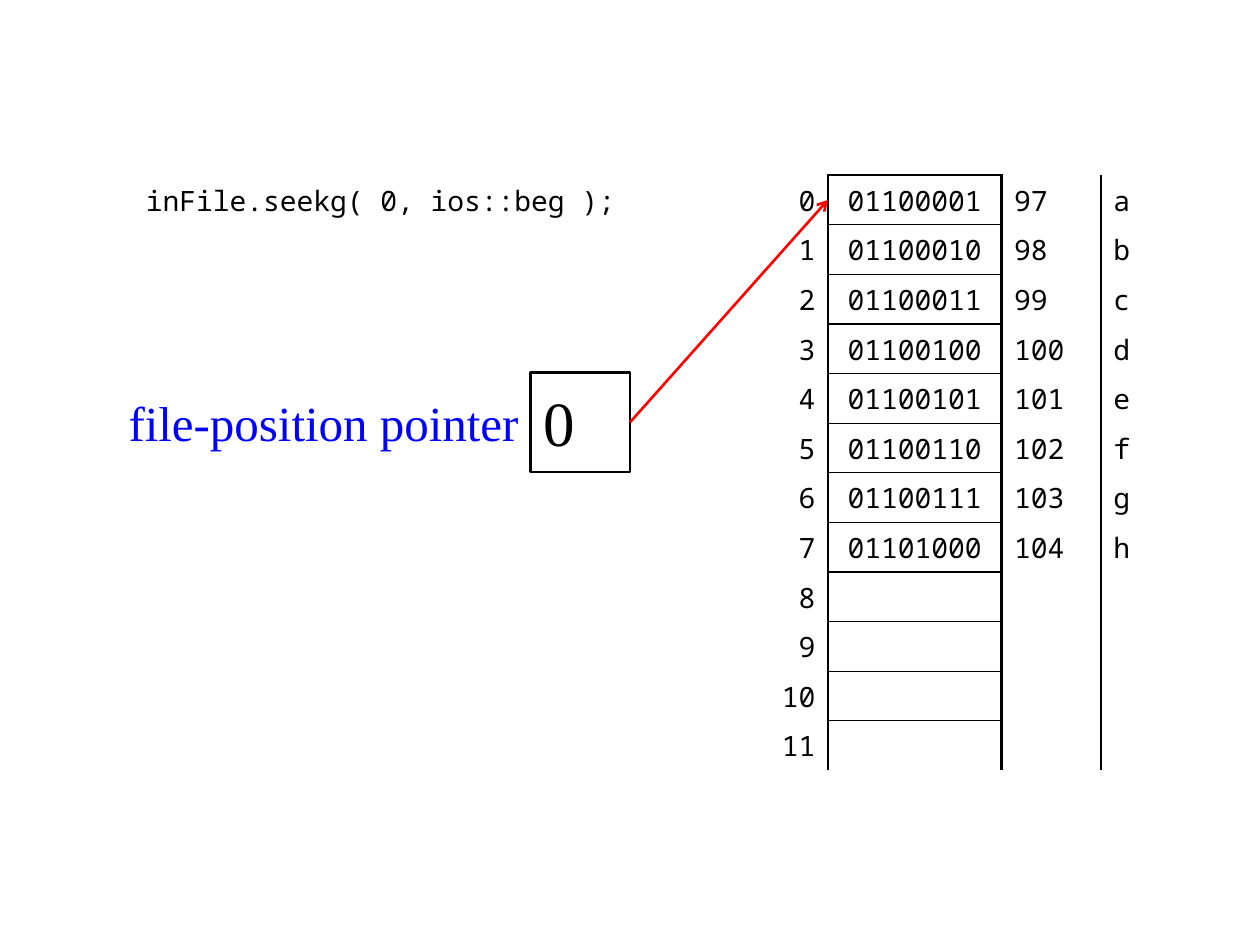
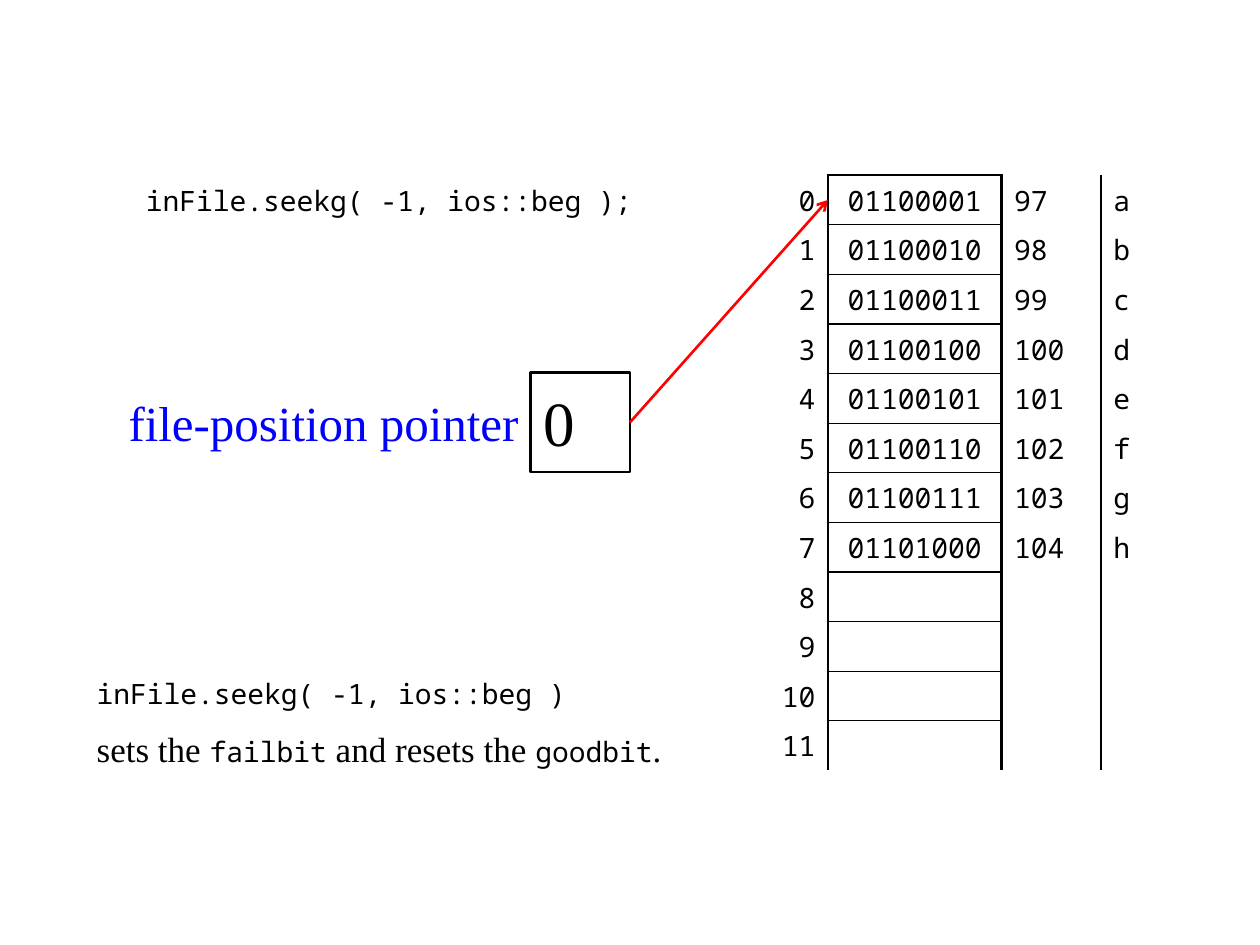
from dataclasses import dataclass
from typing import Optional

from lxml.etree import SubElement as Sub
from pptx import Presentation as Deck
from pptx.dml.color import RGBColor as RGB
from pptx.enum.shapes import MSO_CONNECTOR as Conn, MSO_SHAPE as Shape
from pptx.enum.text import MSO_ANCHOR as Anchor, PP_ALIGN as Align
from pptx.oxml.ns import qn
from pptx.util import Pt

BLACK = RGB(0, 0, 0)
WHITE = RGB(255, 255, 255)
BLUE = RGB(0, 0, 255)
RED = RGB(255, 0, 0)

MONO = "Noto Sans Mono"
SERIF = "Times New Roman"
PLAIN = "{2D5ABB26-0587-4C30-8999-92F81FD0307C}"  # no style, no grid

THICK, THIN = 1.5, 0.75
UNIT = 28.35  # row height in points
TOP = 100.1
LEFT = 430.6
WIDTHS = (42.5, 99.2, 2 * UNIT, UNIT)
ALIGNS = (Align.RIGHT, Align.CENTER, Align.LEFT, Align.LEFT)
ROWS = 12
LETTERS = "abcdefgh"


@dataclass(frozen=True)
class Box:
    """A rectangle in points."""
    left: float
    top: float
    width: float
    height: float

    def size(self) -> tuple:
        """Return the four lengths that shapes are placed with."""
        return tuple(Pt(n) for n in (self.left, self.top, self.width, self.height))


@dataclass(frozen=True)
class Part:
    """A stretch of text in one font."""
    text: str
    font: str = MONO
    size: float = 16


@dataclass(frozen=True)
class Page:
    """What differs from slide to slide."""
    call: str
    note: tuple = ()


CODE = Box(76.3, TOP, 297.4, UNIT)
LABEL = Box(62.4, 213, 241, 2 * UNIT)
VALUE = Box(303.3, 213, 2 * UNIT, 2 * UNIT)
NOTE = Box(48.2, 383, 340.2, 70.9)

PAGES = (
    Page("inFile.seekg( 0, ios::beg );"),
    Page("inFile.seekg( -1, ios::beg );", (
        (Part("inFile.seekg( -1, ios::beg )"),),
        (Part("sets the ", SERIF, 20), Part("failbit"),
         Part(" and resets the ", SERIF, 20), Part("goodbit"),
         Part(".", SERIF, 20)),
    )),
)


def write(frame, lines: tuple, *, color: RGB = BLACK, align: Align = Align.LEFT,
          before: int = 0, hang: float = 0, anchor: Optional[Anchor] = Anchor.MIDDLE) -> None:
    """Fill a text frame with lines of parts; before is a percentage."""
    frame.word_wrap = True
    if anchor is not None:
        frame.vertical_anchor = anchor
    for num, parts in enumerate(lines):
        para = frame.add_paragraph() if num else frame.paragraphs[0]
        para.alignment = align
        props = para._p.get_or_add_pPr()
        if hang:
            props.set("marL", str(Pt(hang)))
            props.set("indent", str(-Pt(hang)))
        if before:
            gap = Sub(props, qn("a:spcBef"))
            Sub(gap, qn("a:spcPct"), val=str(before * 1000))
        for part in parts:
            run = para.add_run()
            run.text = part.text
            run.font.name = part.font
            run.font.size = Pt(part.size)
            run.font.color.rgb = color


def label(slide, box: Box, lines: tuple, **form) -> None:
    """Add a text box."""
    write(slide.shapes.add_textbox(*box.size()).text_frame, lines, **form)


def edge(cell, side: str, width: float) -> None:
    """Draw one black border of a cell."""
    line = Sub(cell._tc.get_or_add_tcPr(), qn("a:ln" + side), w=str(Pt(width)))
    Sub(Sub(line, qn("a:solidFill")), qn("a:srgbClr"), val=str(BLACK))


def borders(cell, row: int, col: int) -> None:
    """Draw the borders of a cell; the byte column is open at the bottom."""
    if col in (1, 2):
        edge(cell, "L", THICK)
    if col in (0, 1):
        edge(cell, "R", THICK)
    if col == 1:
        edge(cell, "T", THIN if row else THICK)
        if row < ROWS - 1:
            edge(cell, "B", THIN)


def bytes_row(row: int) -> tuple:
    """Return index, bits, code and letter of one byte."""
    if row >= len(LETTERS):
        return str(row), "", "", ""
    code = ord(LETTERS[row])
    return str(row), f"{code:08b}", str(code), LETTERS[row]


def grid(slide) -> None:
    """Add the table of the bytes in the file."""
    box = Box(LEFT, TOP, sum(WIDTHS), ROWS * UNIT)
    table = slide.shapes.add_table(ROWS, len(WIDTHS), *box.size()).table
    table.first_row = table.horz_banding = False
    table._tbl.tblPr.find(qn("a:tableStyleId")).text = PLAIN
    for col, width in enumerate(WIDTHS):
        table.columns[col].width = Pt(width)
    for row in range(ROWS):
        table.rows[row].height = Pt(UNIT)
        for col, text in enumerate(bytes_row(row)):
            cell = table.cell(row, col)
            cell.vertical_anchor = Anchor.MIDDLE
            borders(cell, row, col)
            cell.fill.solid()
            cell.fill.fore_color.rgb = WHITE
            if text:
                write(cell.text_frame, ((Part(text),),), align=ALIGNS[col],
                      before=20, anchor=None)
            else:
                Sub(cell.text_frame.paragraphs[0]._p, qn("a:endParaRPr"), sz="1600")


def value(slide) -> None:
    """Add the square that holds the position."""
    shape = slide.shapes.add_shape(Shape.RECTANGLE, *VALUE.size())
    shape.shadow.inherit = False
    shape.fill.background()
    shape.line.color.rgb = BLACK
    shape.line.width = Pt(THICK)
    frame = shape.text_frame
    frame.margin_top, frame.margin_bottom = Pt(0), Pt(1.4)
    write(frame, ((Part("0", SERIF, 36),),), before=20, hang=27)


def arrow(slide) -> None:
    """Point from the square to the first byte."""
    ends = (VALUE.left + VALUE.width, VALUE.top + VALUE.height / 2,
            LEFT + WIDTHS[0], TOP + UNIT / 2)
    line = slide.shapes.add_connector(Conn.STRAIGHT, *(Pt(n) for n in ends))
    line.line.color.rgb = RED
    line.line.width = Pt(THICK)
    Sub(line.line._get_or_add_ln(), qn("a:tailEnd"), type="arrow")
    Sub(line._element.spPr, qn("a:effectLst"))


def draw(deck, page: Page) -> None:
    """Add one slide."""
    slide = deck.slides.add_slide(deck.slide_layouts[6])
    label(slide, CODE, ((Part(page.call),),), before=20)
    label(slide, LABEL, ((Part("file-position pointer", SERIF, 28),),),
          color=BLUE, align=Align.RIGHT)
    grid(slide)
    value(slide)
    arrow(slide)
    if page.note:
        label(slide, NOTE, page.note, before=50, anchor=Anchor.TOP)


def main() -> None:
    """Build and save the deck."""
    deck = Deck()
    deck.slide_width, deck.slide_height = Pt(720), Pt(540)
    for page in PAGES:
        draw(deck, page)
    deck.save("out.pptx")


main()
